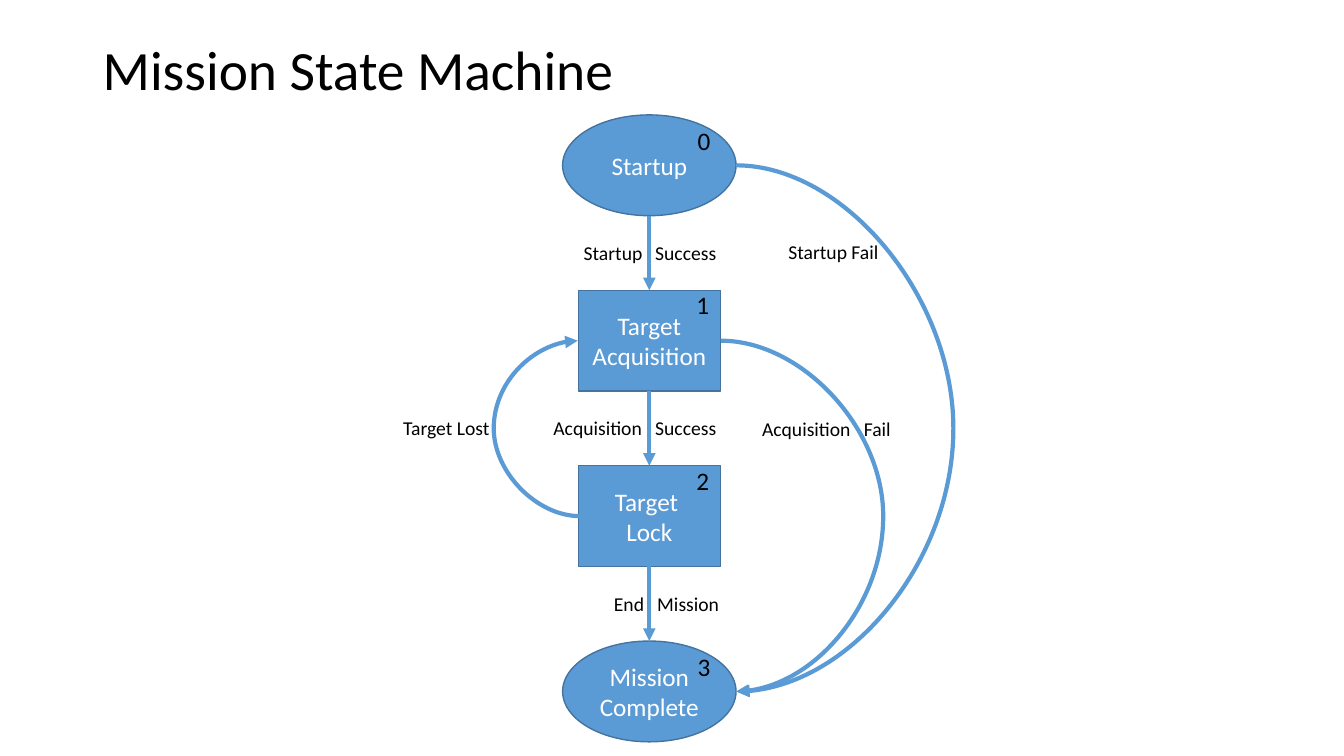
from dataclasses import dataclass

from pptx import Presentation
from pptx.dml.color import RGBColor
from pptx.enum.shapes import MSO_CONNECTOR as Link, MSO_SHAPE as Form
from pptx.enum.text import MSO_ANCHOR as Anchor, PP_ALIGN as Align
from pptx.oxml.ns import qn
from pptx.oxml.xmlchemy import OxmlElement as make
from pptx.slide import Slide
from pptx.text.text import TextFrame
from pptx.util import Inches, Pt

BLUE = RGBColor(0x5B, 0x9B, 0xD5)
EDGE = RGBColor(0x43, 0x73, 0x9E)
WHITE = RGBColor(0xFF, 0xFF, 0xFF)
BLACK = RGBColor(0, 0, 0)
FONT = "Calibri"
MID, TOP, STEP, HIGH = 6.44, 1.14, 1.74, 1.0


@dataclass
class State:
    lines: list[str]
    form: Form
    width: float
    num_x: float
    num_y: float


@dataclass
class Label:
    text: str
    left: float
    top: float
    width: float
    tab: float = 0


@dataclass
class Curve:
    left: float
    top: float
    right: float
    base: float
    bulge: float
    turned: bool = False


STATES = [
    State(["Startup"], Form.OVAL, 1.72, 6.82, 1.19),
    State(["Target Acquisition"], Form.RECTANGLE, 1.41, 6.81, 2.82),
    State(["Target ", "Lock"], Form.RECTANGLE, 1.41, 6.81, 4.57),
    State(["Mission Complete"], Form.OVAL, 1.72, 6.82, 6.41),
]
LABELS = [
    Label("Startup\tSuccess", 5.69, 2.34, 1.77, 0.71),
    Label("Acquisition\tSuccess", 5.39, 4.08, 1.86, 1.01),
    Label("End\tMission", 5.99, 5.82, 2.02, 0.43),
    Label("Startup Fail", 7.72, 2.33, 1.51),
    Label("Target Lost", 3.9, 4.08, 1.13),
    Label("Acquisition\tFail", 7.46, 4.09, 1.86, 1.01),
]
CURVES = [
    Curve(7.3, 1.64, 7.31, 6.86, 9.49),
    Curve(5.73, 3.38, 5.75, 5.12, 4.9, True),
    Curve(7.15, 3.38, 7.3, 6.86, 8.76),
]


def write(frame: TextFrame, lines: list[str], size: float, tint: RGBColor,
          align: Align = Align.LEFT) -> None:
    """Fill a frame with one paragraph for each line."""
    for i, line in enumerate(lines):
        para = frame.add_paragraph() if i else frame.paragraphs[0]
        para.alignment = align
        run = para.add_run()
        run.text = line
        run.font.name = FONT
        run.font.size = Pt(size)
        run.font.color.rgb = tint


def add_text(slide: Slide, text: str, left: float, top: float, width: float,
             high: float, size: float, wrap: bool = True) -> TextFrame:
    """Add a black text box and return its frame."""
    box = slide.shapes.add_textbox(Inches(left), Inches(top), Inches(width), Inches(high))
    box.text_frame.word_wrap = wrap
    write(box.text_frame, [text], size, BLACK)
    return box.text_frame


def add_state(slide: Slide, state: State, index: int) -> None:
    """Add a state with its number."""
    shape = slide.shapes.add_shape(
        state.form, Inches(MID - state.width / 2), Inches(TOP + index * STEP),
        Inches(state.width), Inches(HIGH))
    shape.shadow.inherit = False
    shape.fill.solid()
    shape.fill.fore_color.rgb = BLUE
    shape.line.color.rgb = EDGE
    shape.line.width = Pt(1)
    shape.text_frame.word_wrap = True
    shape.text_frame.vertical_anchor = Anchor.MIDDLE
    write(shape.text_frame, state.lines, 18, WHITE, Align.CENTER)
    add_text(slide, str(index), state.num_x, state.num_y, 0.33, 0.4, 18, False)


def add_label(slide: Slide, label: Label) -> None:
    """Add a label, with a tab stop where an arrow parts its words."""
    frame = add_text(slide, label.text, label.left, label.top, label.width, 0.34, 14)
    if label.tab:
        stops, stop = make("a:tabLst"), make("a:tab")
        stop.set("pos", str(Inches(label.tab)))
        stop.set("algn", "l")
        stops.append(stop)
        frame.paragraphs[0]._p.get_or_add_pPr().append(stops)


def add_arrow(slide: Slide, kind: Link, left: float, top: float,
              right: float, base: float):
    """Add a blue arrow and return its shape properties."""
    link = slide.shapes.add_connector(
        kind, Inches(left), Inches(top), Inches(right), Inches(base))
    link.line.color.rgb = BLUE
    link.line.width = Pt(3)
    tail = make("a:tailEnd")
    tail.set("type", "triangle")
    link.line._get_or_add_ln().append(tail)
    props = link._element.spPr
    props.append(make("a:effectLst"))
    return props


def add_curve(slide: Slide, curve: Curve) -> None:
    """Add a curved arrow that swings out to its bulge."""
    props = add_arrow(slide, Link.CURVE, curve.left, curve.top, curve.right, curve.base)
    reach = curve.bulge - curve.left
    if curve.turned:
        props.find(qn("a:xfrm")).set("rot", "10800000")
        reach = curve.right - curve.bulge
    ratio = round(reach / (curve.right - curve.left) * 100000)
    geom = props.find(qn("a:prstGeom"))
    guides = geom.find(qn("a:avLst"))
    if guides is None:
        guides = make("a:avLst")
        geom.append(guides)
    guide = make("a:gd")
    guide.set("name", "adj1")
    guide.set("fmla", f"val {ratio}")
    guides.append(guide)


def main() -> None:
    """Build and save the slide."""
    deck = Presentation()
    deck.slide_width, deck.slide_height = Inches(13.33), Inches(7.5)
    slide = deck.slides.add_slide(deck.slide_layouts[6])
    title = add_text(slide, "Mission State Machine", 0.92, 0.4, 11.5, 0.63, 39.6)
    title.vertical_anchor = Anchor.MIDDLE
    title.paragraphs[0].line_spacing = 0.9
    for i, state in enumerate(STATES):
        add_state(slide, state, i)
    for i in range(len(STATES) - 1):
        top = TOP + i * STEP + HIGH
        add_arrow(slide, Link.STRAIGHT, MID, top, MID, TOP + (i + 1) * STEP)
    for curve in CURVES:
        add_curve(slide, curve)
    for label in LABELS:
        add_label(slide, label)
    deck.save("out.pptx")


main()
